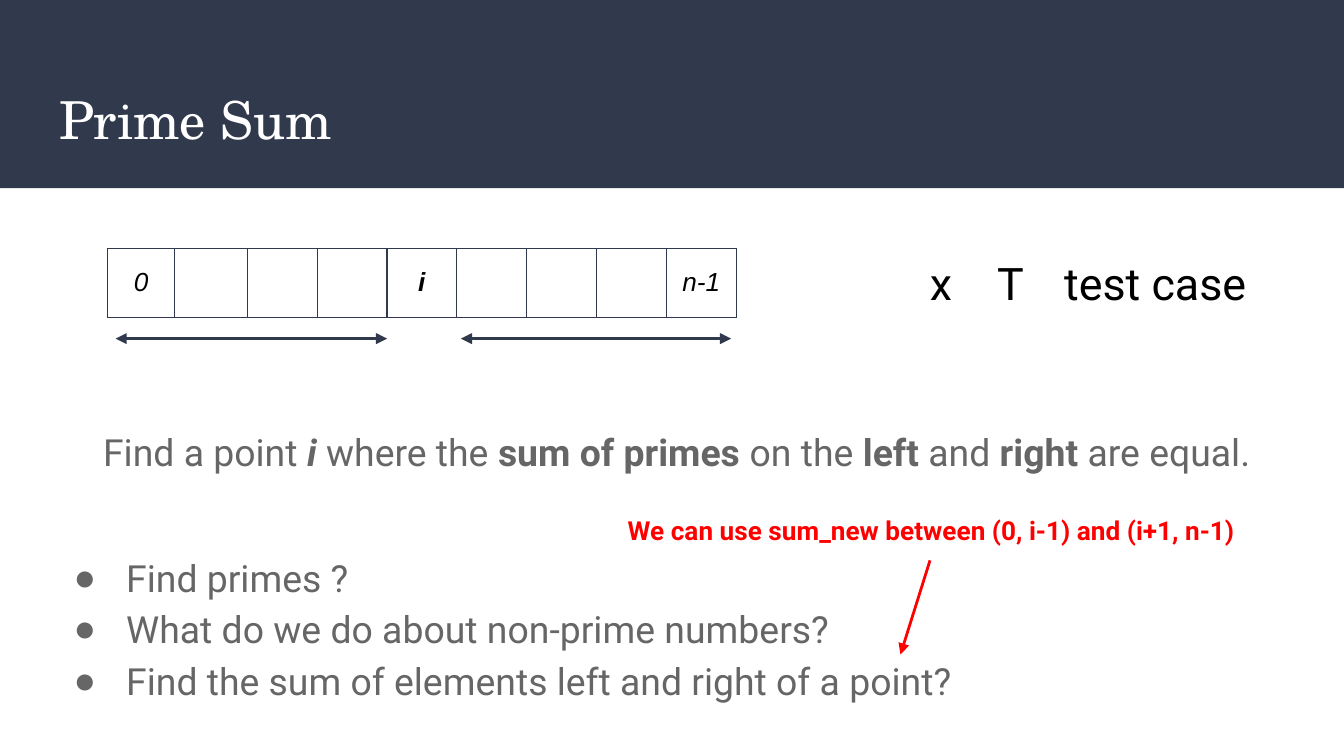
from lxml import etree
from pptx import Presentation
from pptx.dml.color import RGBColor
from pptx.enum.shapes import MSO_CONNECTOR, MSO_SHAPE
from pptx.enum.text import MSO_ANCHOR, PP_ALIGN
from pptx.oxml.ns import qn
from pptx.util import Inches, Pt

LINE, RECT = MSO_CONNECTOR.STRAIGHT, MSO_SHAPE.RECTANGLE
LEFT, CENTER = PP_ALIGN.LEFT, PP_ALIGN.CENTER
TOP, MIDDLE = MSO_ANCHOR.TOP, MSO_ANCHOR.MIDDLE
NAVY = RGBColor(0x31, 0x39, 0x4D)
WHITE = RGBColor(0xFF, 0xFF, 0xFF)
BLACK = RGBColor(0, 0, 0)
GRAY = RGBColor(0x66, 0x66, 0x66)
RED = RGBColor(0xFF, 0, 0)

# Content
TITLE = "Prime Sum"
CELLS = ["0", "", "", "", "i", "", "", "", "n-1"]
WIDTHS = [0.5, 0.54] + [0.52] * 7
CASES = "x\tT\ttest case"
GOAL = [  # text, bold, italic
    ("Find a point ", False, False), ("i", True, True),
    (" where the ", False, False), ("sum of primes ", True, False),
    ("on the ", False, False), ("left ", True, False),
    ("and ", False, False), ("right ", True, False),
    ("are equal.", False, False),
]
STEPS = [
    "Find primes ?",
    "What do we do about non-prime numbers?",
    "Find the sum of elements left and right of a point?",
]
HINT = "We can use sum_new between (0, i-1) and (i+1, n-1)"
ARROWS = [  # start, end, colour, heads
    ((0.86, 2.52), (2.88, 2.52), NAVY, ("headEnd", "tailEnd")),
    ((3.43, 2.52), (5.44, 2.52), NAVY, ("headEnd", "tailEnd")),
    ((6.92, 4.17), (6.7, 4.87), RED, ("tailEnd",)),
]


def add(parent, tag, **attrs):
    node = etree.SubElement(parent, qn("a:" + tag))
    for key, value in attrs.items():
        node.set(key, str(value))
    return node


def style(font, name, size, color, bold=False, italic=False):
    font.name, font.size = name, Pt(size)
    font.bold, font.italic = bold, italic
    font.color.rgb = color


def pad(part):
    part.margin_left = part.margin_right = Inches(0.1)
    part.margin_top = part.margin_bottom = Inches(0.1)


def add_box(*place):
    frame = slide.shapes.add_textbox(*map(Inches, place)).text_frame
    pad(frame)
    frame.word_wrap = True
    return frame


# Slide of 16 by 9
deck = Presentation()
deck.slide_width = Inches(10)
deck.slide_height = deck.slide_width * 9 // 16
slide = deck.slides.add_slide(deck.slide_layouts[5])

# Title band, behind the title
band = slide.shapes.add_shape(RECT, 0, 0, deck.slide_width, Inches(1.4))
band.shadow.inherit = False
band.fill.solid()
band.fill.fore_color.rgb = NAVY
band.line.fill.background()
title = slide.shapes.title
title._element.addprevious(band._element)
title.left, title.top, title.width, title.height = map(
    Inches, (0.34, 0.55, 9.32, 0.68))
pad(title.text_frame)
title.text_frame.vertical_anchor = TOP
title.text_frame.text = TITLE
head = title.text_frame.paragraphs[0]
head.alignment = LEFT
style(head.runs[0].font, "TeX Gyre Schola", 28, WHITE)

# Array of n cells
grid = slide.shapes.add_table(
    1, len(CELLS), Inches(0.8), Inches(1.85),
    Inches(sum(WIDTHS)), Inches(0.51)).table
grid.first_row = grid.horz_banding = False
for col, (text, width) in enumerate(zip(CELLS, WIDTHS)):
    grid.columns[col].width = Inches(width)
    cell = grid.cell(0, col)
    cell.vertical_anchor = MIDDLE
    pad(cell)
    cell.text = text
    para = cell.text_frame.paragraphs[0]
    para.alignment = CENTER
    style(para.font, "Arial", 14, BLACK)
    for run in para.runs:
        style(run.font, "Arial", 14, BLACK, text == "i", True)
    props = cell._tc.get_or_add_tcPr()
    for side in ("lnL", "lnR", "lnT", "lnB"):
        edge = add(props, side, w=Pt(0.75))
        add(add(edge, "solidFill"), "srgbClr", val=NAVY)
    cell.fill.background()

# Test cases, spaced with tab stops
para = add_box(6.74, 1.8, 2.78, 0.61).paragraphs[0]
para.text = CASES
props = para._p.get_or_add_pPr()
props.set("marL", str(Inches(0.08)))
props.set("indent", "0")
stops = add(props, "tabLst")
for stop in (0.41, 0.76):
    add(stops, "tab", pos=Inches(stop), algn="l")
for run in para.runs:
    style(run.font, "Roboto", 24, BLACK)

# Goal and steps
body = add_box(0.34, 3.04, 9.39, 2.22)
goal = body.paragraphs[0]
goal.alignment, goal.line_spacing = CENTER, 1.15
for text, bold, italic in GOAL:
    run = goal.add_run()
    run.text = text
    style(run.font, "Roboto", 20, GRAY, bold, italic)
for i, text in enumerate(STEPS):
    para = body.add_paragraph()
    para.text = text
    para.line_spacing = 1.15
    para.space_before = Pt(0 if i else 40)
    props = para._p.get_or_add_pPr()
    props.set("marL", str(Inches(0.5)))
    props.set("indent", str(Inches(-0.39)))
    add(add(props, "buClr"), "srgbClr", val=GRAY)
    add(props, "buFont", typeface="Arial")
    add(props, "buChar", char="●")
    style(para.runs[0].font, "Roboto", 20, GRAY)

# Hint
para = add_box(4.33, 3.73, 5.2, 0.44).paragraphs[0]
para.text, para.alignment = HINT, CENTER
style(para.runs[0].font, "Roboto", 14, RED, True)

# Arrows
for start, end, color, heads in ARROWS:
    arrow = slide.shapes.add_connector(LINE, *map(Inches, start + end))
    arrow.line.color.rgb, arrow.line.width = color, Pt(1.5)
    for tag in heads:
        add(arrow.line._get_or_add_ln(), tag, type="triangle")
    add(arrow._element.spPr, "effectLst")

deck.save("out.pptx")
